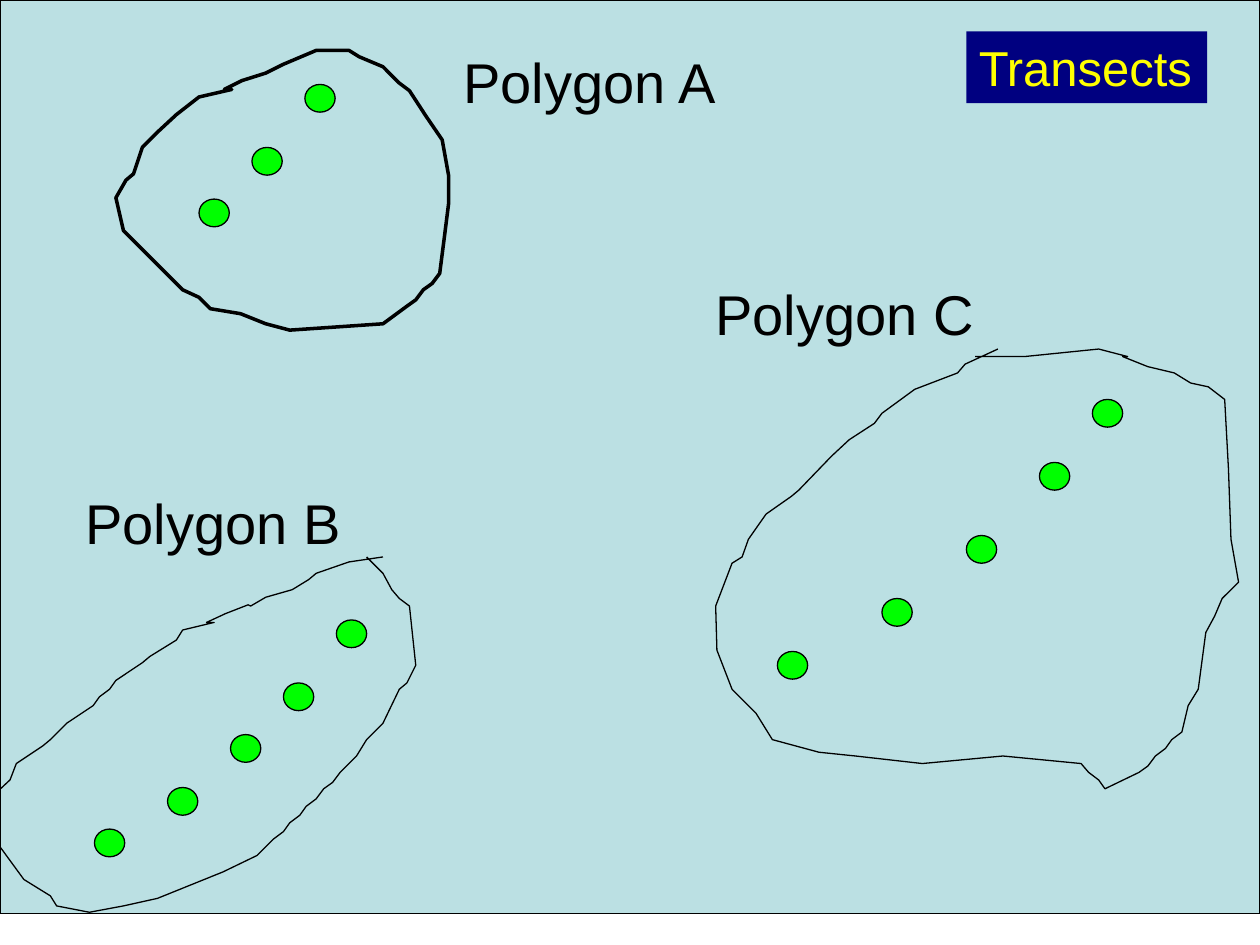
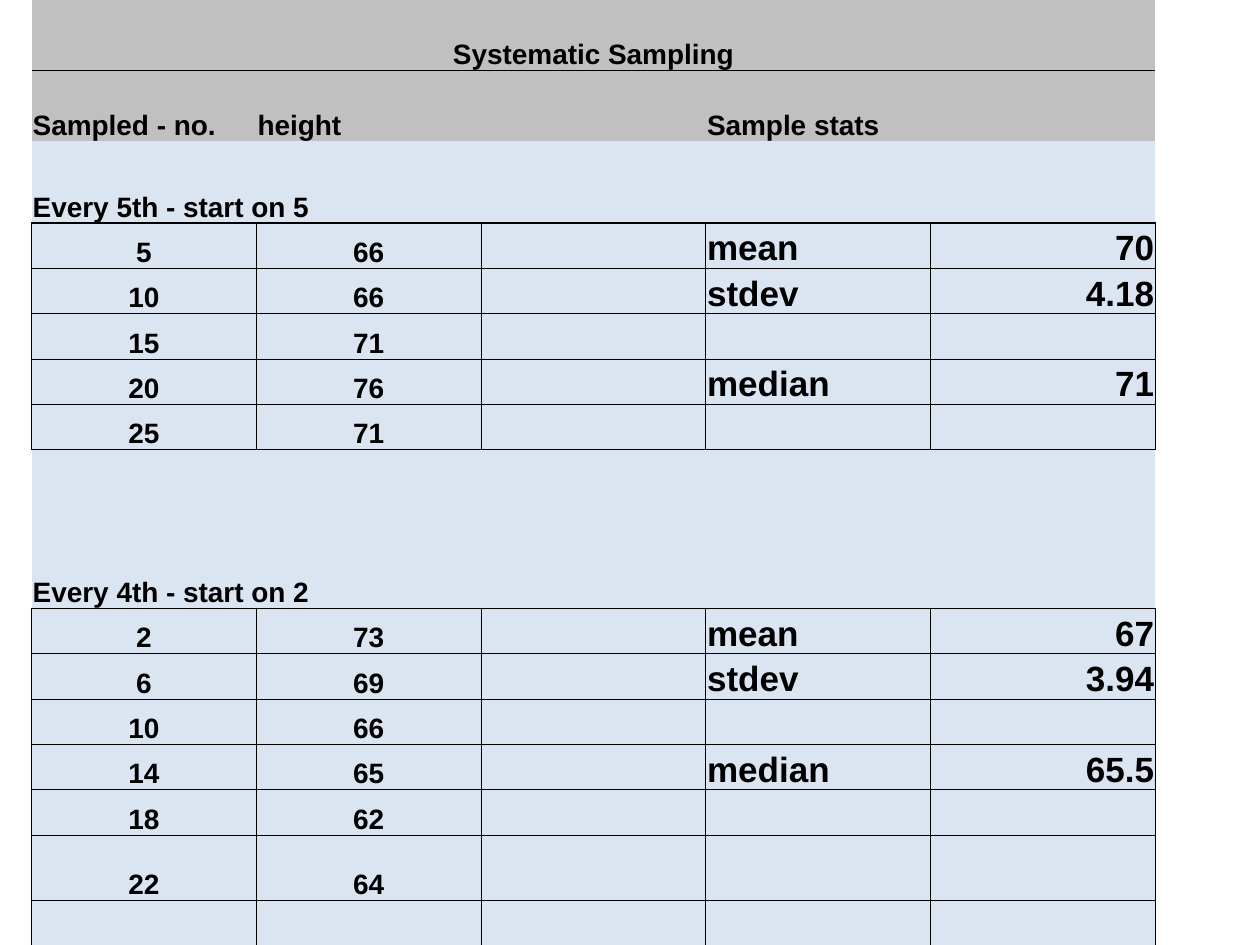
import pptx
import pptx.util
import pptx.dml.color
import pptx.enum.shapes
import pptx.enum.text
import pptx.oxml.ns
import lxml.etree

Inches, Pt = pptx.util.Inches, pptx.util.Pt
SHAPE = pptx.enum.shapes.MSO_SHAPE
ALIGN = pptx.enum.text.PP_ALIGN

# Shared style
FONT = "Arial"
BLACK, YELLOW, NAVY, GREEN = "000000", "FFFF00", "000080", "00FF00"
WATER, HEADER_GREY, PALE_BLUE = "BBE0E3", "C0C0C0", "DBE5F1"
NO_TABLE_STYLE = "{2D5ABB26-0587-4C30-8999-92F81FD0307C}"

# Outlines in hundredths of an inch, from the corner of each region
OUTLINE_A = [
    (251, 40), (225, 51), (211, 58), (192, 64), (178, 71), (184, 71), (158, 77),
    (140, 91), (126, 104), (113, 117), (106, 138), (100, 143), (92, 157),
    (98, 183), (111, 196), (138, 223), (145, 230), (158, 236), (167, 245),
    (191, 249), (211, 257), (230, 262), (304, 257), (323, 243), (330, 238),
    (336, 230), (343, 225), (349, 217), (353, 186), (356, 162), (356, 139),
    (351, 111), (338, 92), (325, 72), (317, 66), (304, 53), (285, 45), (277, 40)]
OUTLINE_B = [
    (304, 142), (277, 146), (251, 155), (245, 160), (232, 168), (211, 174),
    (199, 181), (197, 180), (179, 187), (164, 194), (170, 194), (145, 200),
    (140, 208), (119, 221), (113, 226), (92, 240), (87, 247), (79, 253),
    (74, 260), (53, 274), (40, 287), (34, 292), (13, 306), (8, 319), (-6, 332),
    (0, 372), (19, 398), (40, 411), (45, 419), (71, 424), (98, 419), (125, 413),
    (177, 392), (204, 379), (217, 366), (225, 360), (230, 353), (238, 347),
    (243, 340), (251, 334), (257, 326), (264, 321), (270, 313), (283, 300),
    (291, 287), (304, 274), (317, 247), (323, 242), (330, 228), (325, 181),
    (317, 175), (311, 168), (304, 155), (291, 142)]
OUTLINE_C = [
    (292, 77), (266, 89), (260, 96), (226, 109), (200, 128), (194, 136),
    (174, 149), (160, 162), (134, 189), (128, 194), (108, 208), (94, 228),
    (89, 242), (81, 247), (68, 281), (69, 316), (81, 347), (94, 360), (100, 366),
    (113, 387), (150, 397), (179, 400), (232, 406), (296, 400), (358, 406),
    (364, 413), (372, 419), (377, 426), (404, 413), (411, 408), (417, 400),
    (425, 394), (430, 387), (438, 381), (443, 360), (451, 347), (457, 302),
    (464, 289), (470, 275), (483, 262), (477, 228), (475, 172), (472, 117),
    (459, 107), (445, 104), (432, 96), (411, 91), (391, 83), (395, 83), (372, 77),
    (313, 83), (274, 83)]

# Each region: corner, label, label box, outline, closed, line width, dots
REGIONS = [
    ((0, 0), "Polygon A", (3.58, 0.33, 2.22, 0.64), OUTLINE_A, True, 2,
     [(2.42, 0.67), (2, 1.17), (1.58, 1.58)]),
    ((0, 3), "Polygon B", (0.58, 0.83, 2.25, 0.64), OUTLINE_B, False, 0.75,
     [(2.67, 1.92), (2.25, 2.42), (1.83, 2.83), (1.33, 3.25), (0.75, 3.58)]),
    ((5, 2), "Polygon C", (0.58, 0.17, 2.27, 0.64), OUTLINE_C, False, 0.75,
     [(3.67, 1.17), (3.25, 1.67), (2.67, 2.25), (2, 2.75), (1.17, 3.17)]),
]

# Sampling table
ROW_HEIGHTS = [0.56, 0.56, 0.65] + [0.36] * 7 + [0.54] + [0.36] * 5 + [0.52, 0.36]
HEADINGS = {
    (0, 0): "Systematic Sampling",
    (1, 0): "Sampled - no.", (1, 1): "height", (1, 3): "Sample stats",
    (2, 0): "Every 5th - start on 5",
    (10, 0): "Every 4th - start on 2",
}
MERGES = [(0, 0, 4), (1, 3, 4), (2, 0, 1), (10, 0, 1)]
SAMPLES = {
    3: [(5, 66), (10, 66), (15, 71), (20, 76), (25, 71)],
    11: [(2, 73), (6, 69), (10, 66), (14, 65), (18, 62), (22, 64)],
}
STATS = {3: ("70", "4.18", "71"), 11: ("67", "3.94", "65.5")}
STAT_NAMES = [(0, "mean"), (1, "stdev"), (3, "median")]
GRID_ROWS = {*range(3, 8), *range(11, 18)}
HEAVY_EDGES = {1, 3, 12}


def rgb(value):
    return pptx.dml.color.RGBColor.from_string(value)


def style_shape(shape, fill=None, line=None, width=0.75):
    shape.shadow.inherit = False
    if fill:
        shape.fill.solid()
        shape.fill.fore_color.rgb = rgb(fill)
    else:
        shape.fill.background()
    if line:
        shape.line.color.rgb = rgb(line)
        shape.line.width = Pt(width)
    else:
        shape.line.fill.background()


def write(frame, text, size, color=BLACK, bold=False, align=ALIGN.LEFT):
    frame.text = text
    para = frame.paragraphs[0]
    para.alignment = align
    for span in para.runs:
        span.font.name = FONT
        span.font.size = Pt(size)
        span.font.bold = bold
        span.font.color.rgb = rgb(color)


def fit_label(frame):
    frame.word_wrap = False
    frame.auto_size = pptx.enum.text.MSO_AUTO_SIZE.SHAPE_TO_FIT_TEXT
    frame.vertical_anchor = pptx.enum.text.MSO_ANCHOR.TOP


def add_box(shapes, kind, box, fill, line=None):
    shape = shapes.add_shape(kind, *map(Inches, box))
    style_shape(shape, fill, line)
    return shape


def add_region(page, corner, label, label_box, outline, closed, width, dots):
    left, top = corner
    # Label
    x, y, w, h = label_box
    box = page.shapes.add_textbox(Inches(left + x), Inches(top + y), Inches(w), Inches(h))
    write(box.text_frame, label, 32)
    fit_label(box.text_frame)
    # Outline
    builder = page.shapes.build_freeform(*outline[0], scale=Inches(0.01))
    builder.add_line_segments(outline[1:], close=closed)
    border = builder.convert_to_shape(Inches(left), Inches(top))
    style_shape(border, line=BLACK, width=width)
    # Transect of sample points
    transect = page.shapes.add_group_shape()
    for x, y in dots:
        add_box(transect.shapes, SHAPE.OVAL, (left + x, top + y, 0.24, 0.22), GREEN, BLACK)


def build_transects(page):
    add_box(page.shapes, SHAPE.RECTANGLE, (0, 0, 10, 7.25), WATER, BLACK)
    heading = add_box(page.shapes, SHAPE.RECTANGLE, (7.67, 0.25, 1.91, 0.57), NAVY)
    write(heading.text_frame, "Transects", 28, YELLOW)
    fit_label(heading.text_frame)
    for region in REGIONS:
        add_region(page, *region)


def edge_width(edge):
    if edge in HEAVY_EDGES:
        return 1
    return 0.5 if {edge - 1, edge} & GRID_ROWS else 0


def set_borders(cell, row):
    side = 0.5 if row in GRID_ROWS else 0
    widths = {"lnL": side, "lnR": side, "lnT": edge_width(row), "lnB": edge_width(row + 1)}
    qn = pptx.oxml.ns.qn
    properties = cell._tc.get_or_add_tcPr()
    for tag, width in widths.items():
        line = lxml.etree.SubElement(properties, qn("a:" + tag), w=str(Pt(width)))
        if width:
            fill = lxml.etree.SubElement(line, qn("a:solidFill"))
            lxml.etree.SubElement(fill, qn("a:srgbClr"), val=BLACK)
        else:
            lxml.etree.SubElement(line, qn("a:noFill"))


def fill_table(table):
    def put(row, column, text, size=16, align=ALIGN.LEFT):
        write(table.cell(row, column).text_frame, text, size, bold=True, align=align)

    for (row, column), text in HEADINGS.items():
        put(row, column, text, align=ALIGN.LEFT if row else ALIGN.CENTER)
    for first, pairs in SAMPLES.items():
        for row, pair in enumerate(pairs, first):
            for column, value in enumerate(pair):
                put(row, column, str(value), align=ALIGN.CENTER)
        for (offset, name), value in zip(STAT_NAMES, STATS[first]):
            put(first + offset, 3, name, 20)
            put(first + offset, 4, value, 20, ALIGN.RIGHT)


def build_sampling(page, box):
    frame = page.shapes.add_table(len(ROW_HEIGHTS), 5, *map(Inches, box))
    table = frame.table
    table.first_row = table.horz_banding = False
    table._tbl.tblPr.find(pptx.oxml.ns.qn("a:tableStyleId")).text = NO_TABLE_STYLE
    for column in table.columns:
        column.width = Inches(box[2] / 5)
    for row, height in enumerate(ROW_HEIGHTS):
        table.rows[row].height = Inches(height)
        for column in range(5):
            cell = table.cell(row, column)
            set_borders(cell, row)
            cell.fill.solid()
            cell.fill.fore_color.rgb = rgb(HEADER_GREY if row < 2 else PALE_BLUE)
            cell.margin_left = cell.margin_right = cell.margin_top = Inches(0.01)
            cell.margin_bottom = 0
            cell.vertical_anchor = pptx.enum.text.MSO_ANCHOR.BOTTOM
    for row, first, last in MERGES:
        table.cell(row, first).merge(table.cell(row, last))
    fill_table(table)


def main():
    deck = pptx.Presentation()
    deck.slide_width, deck.slide_height = Inches(10), Inches(7.5)
    blank = deck.slide_layouts[6]
    build_transects(deck.slides.add_slide(blank))
    build_sampling(deck.slides.add_slide(blank), (0.25, 0, 8.92, 7.5))
    deck.save("out.pptx")


if __name__ == "__main__":
    main()
